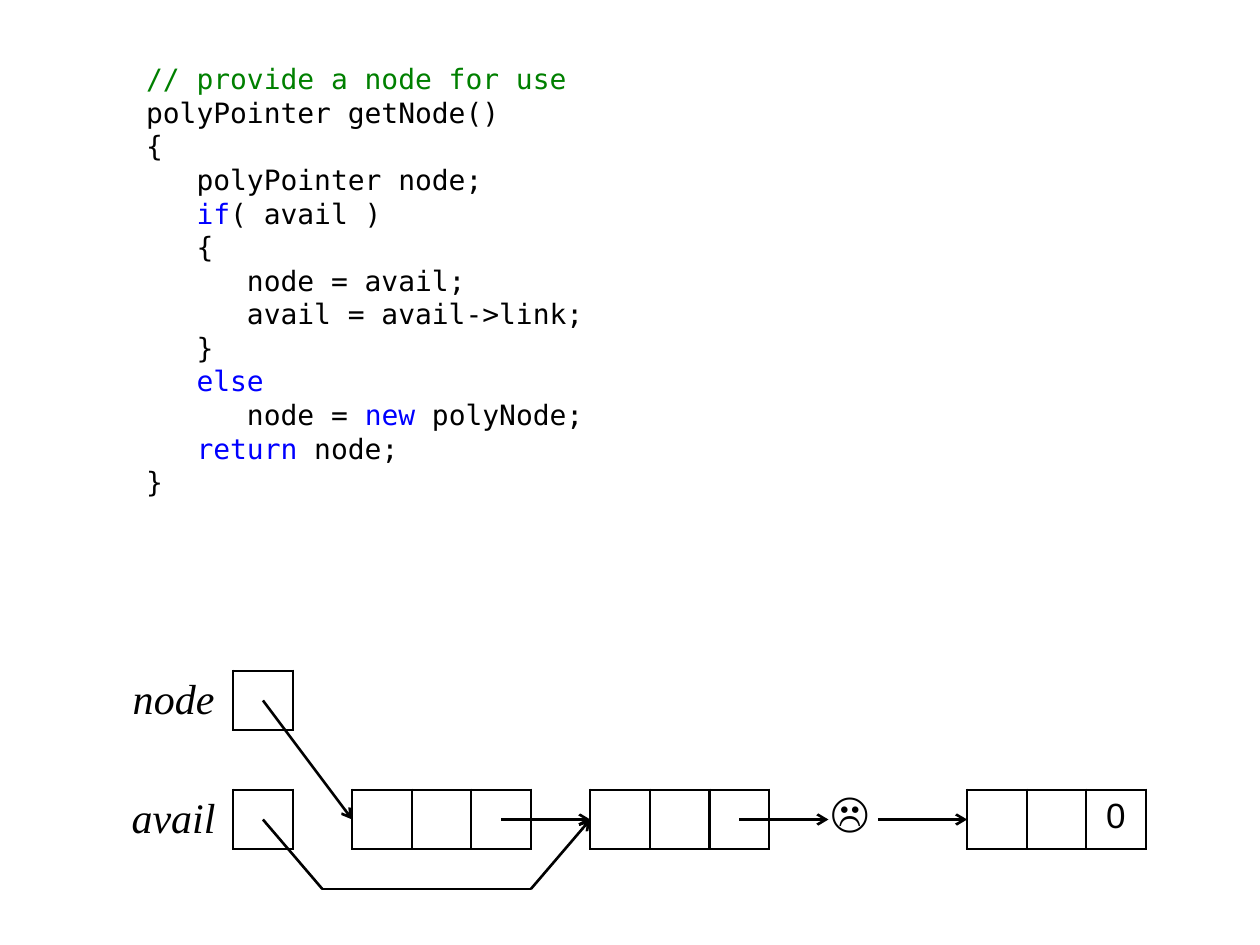
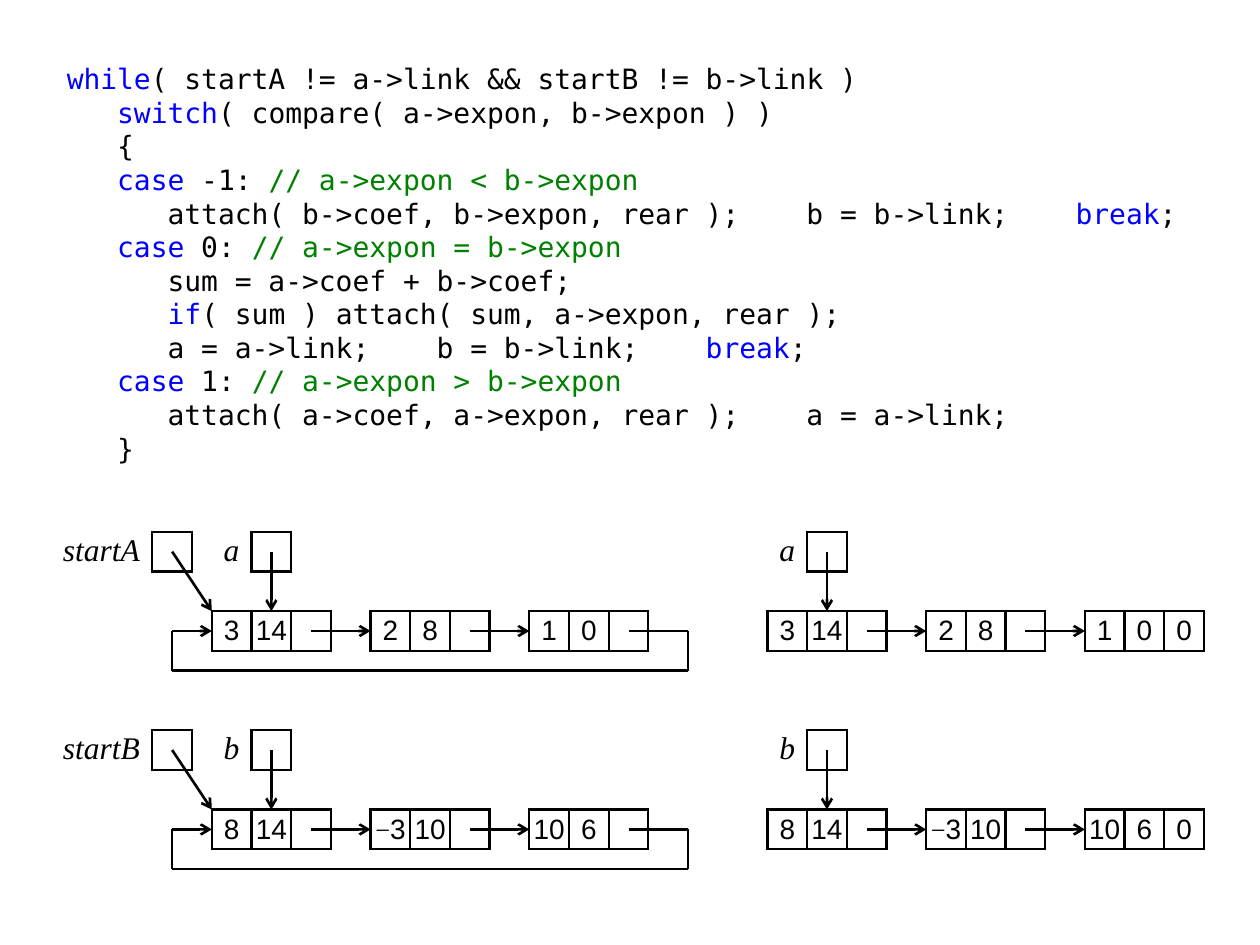
from dataclasses import dataclass
from itertools import pairwise

from lxml import etree
from pptx import Presentation
from pptx.dml.color import RGBColor
from pptx.enum.shapes import MSO_CONNECTOR
from pptx.enum.text import MSO_ANCHOR, MSO_AUTO_SIZE, PP_ALIGN
from pptx.oxml.ns import qn
from pptx.util import Inches, Mm, Pt

STRAIGHT = MSO_CONNECTOR.STRAIGHT
MIDDLE, TOP = MSO_ANCHOR.MIDDLE, MSO_ANCHOR.TOP
LEFT, CENTER, RIGHT = PP_ALIGN.LEFT, PP_ALIGN.CENTER, PP_ALIGN.RIGHT
FIXED_SIZE = MSO_AUTO_SIZE.NONE

BLACK, BLUE, GREEN = "000000", "0000FF", "008000"
CODE_FONT, LABEL_FONT, CELL_FONT = "DejaVu Sans Mono", "Times New Roman", "Arial"
LINE_WIDTH = Pt(1.5)
NO_STYLE_TABLE = "{2D5ABB26-0587-4C30-8999-92F81FD0307C}"
GAP = None  # a table cell without top and bottom borders

# Code: backquotes mark keywords, // starts a comment
GET_NODE = """// provide a node for use
polyPointer getNode()
{
   polyPointer node;
   `if`( avail )
   {
      node = avail;
      avail = avail->link;
   }
   `else`
      node = `new` polyNode;
   `return` node;
}"""

ADD_LOOP = """`while`( startA != a->link && startB != b->link )
   `switch`( compare( a->expon, b->expon ) )
   {
   `case` -1: // a->expon < b->expon
      attach( b->coef, b->expon, rear );    b = b->link;    `break`;
   `case` 0: // a->expon = b->expon
      sum = a->coef + b->coef;
      `if`( sum ) attach( sum, a->expon, rear );
      a = a->link;    b = b->link;    `break`;
   `case` 1: // a->expon > b->expon
      attach( a->coef, a->expon, rear );    a = a->link;
   }"""


@dataclass(frozen=True)
class Grid:
    """Square cells in millimetres; column 0, row 0 starts at left, top."""
    left: float
    top: float
    cell: float

    def x(self, column: float) -> int:
        return Mm(self.left + column * self.cell)

    def y(self, row: float) -> int:
        return Mm(self.top + row * self.cell)

    def size(self, cells: float) -> int:
        return Mm(cells * self.cell)

    def moved(self, columns: float, rows: float) -> "Grid":
        return Grid(self.left + columns * self.cell,
                    self.top + rows * self.cell, self.cell)


@dataclass(frozen=True)
class Label:
    text: str
    column: float
    row: float
    width: float
    size: int
    align: PP_ALIGN = CENTER


@dataclass(frozen=True)
class Polynomial:
    name: str
    row: float
    terms: tuple


POLYNOMIALS = (
    Polynomial("a", 0, (("3", "14"), ("2", "8"), ("1", "0"))),
    Polynomial("b", 5, (("8", "14"), ("−3", "10"), ("10", "6"))),
)


def color(value: str) -> RGBColor:
    return RGBColor.from_string(value)


def apply(target, **values) -> None:
    for name, value in values.items():
        setattr(target, name, value)


def add_span(para, text: str, font: str, size: float, fill: str = BLACK,
             italic: bool = False) -> None:
    span = para.add_run()
    span.text = text
    apply(span.font, name=font, size=Pt(size), italic=italic)
    span.font.color.rgb = color(fill)


# Code in the body placeholder
def add_code_page(deck, code: str, left: float, width: float, height: float):
    page = deck.slides.add_slide(deck.slide_layouts[1])
    title = page.shapes.title.element
    title.getparent().remove(title)
    body = page.placeholders[1]
    apply(body, left=Inches(left), top=Inches(0.44),
          width=Inches(width), height=Inches(height))
    frame = body.text_frame
    apply(frame, auto_size=FIXED_SIZE, word_wrap=True, vertical_anchor=TOP)
    for index, line in enumerate(code.split("\n")):
        para = frame.add_paragraph() if index else frame.paragraphs[0]
        properties = para._p.get_or_add_pPr()
        apply_bullet = {"marL": "0", "indent": "0"}
        for name, value in apply_bullet.items():
            properties.set(name, value)
        etree.SubElement(properties, qn("a:buNone"))
        apply(para, alignment=LEFT, space_before=Pt(0), space_after=Pt(0),
              line_spacing=Pt(19.2))
        statement, mark, comment = line.partition("//")
        spans = [(text, BLUE if number % 2 else BLACK)
                 for number, text in enumerate(statement.split("`"))]
        for text, fill in spans + [(mark + comment, GREEN)]:
            if text:
                add_span(para, text, CODE_FONT, 16, fill)
    return page


# Lines and labels
def add_path(page, grid: Grid, *points: tuple, arrow: bool = True) -> None:
    """Joins the points by straight lines; the last one carries the arrowhead."""
    legs = list(pairwise(points))
    for number, ((x1, y1), (x2, y2)) in enumerate(legs, 1):
        line = page.shapes.add_connector(STRAIGHT, grid.x(x1), grid.y(y1),
                                         grid.x(x2), grid.y(y2))
        line.line.color.rgb = color(BLACK)
        line.line.width = LINE_WIDTH
        if arrow and number == len(legs):
            etree.SubElement(line.line._get_or_add_ln(), qn("a:tailEnd"), type="arrow")
        etree.SubElement(line._element.spPr, qn("a:effectLst"))


def add_label(page, grid: Grid, label: Label) -> None:
    box = page.shapes.add_textbox(grid.x(label.column), grid.y(label.row),
                                  grid.size(label.width), grid.size(1))
    frame = box.text_frame
    apply(frame, word_wrap=True, vertical_anchor=MIDDLE, margin_left=0, margin_top=0,
          margin_right=Inches(0.1) if label.align == RIGHT else 0,
          margin_bottom=Inches(0.05))
    para = frame.paragraphs[0]
    para.alignment = label.align
    add_span(para, label.text, LABEL_FONT, label.size, italic=True)


# Nodes: one table row, with gaps between the nodes
def add_border(cell, sides: str) -> None:
    properties = cell._tc.get_or_add_tcPr()
    for side in "LRTB":
        border = etree.SubElement(properties, qn("a:ln" + side), w=str(LINE_WIDTH))
        if side in sides:
            fill = etree.SubElement(border, qn("a:solidFill"))
            etree.SubElement(fill, qn("a:srgbClr"), val=BLACK)
        else:
            etree.SubElement(border, qn("a:noFill"))


def add_cells(page, grid: Grid, column: float, row: float, texts: list, size: int = 16,
              widths: dict | None = None):
    widths = widths or {}
    spans = [widths.get(index, 1) for index in range(len(texts))]
    table = page.shapes.add_table(1, len(texts), grid.x(column), grid.y(row),
                                  grid.size(sum(spans)), grid.size(1)).table
    apply(table, first_row=False, horz_banding=False)
    table._tbl.tblPr.find(qn("a:tableStyleId")).text = NO_STYLE_TABLE
    table.rows[0].height = grid.size(1)
    for index, text in enumerate(texts):
        table.columns[index].width = grid.size(spans[index])
        cell = table.cell(0, index)
        apply(cell, margin_left=0, margin_right=0, margin_top=0, margin_bottom=0,
              vertical_anchor=MIDDLE)
        add_border(cell, "LR" if text is GAP else "LRTB")
        cell.fill.background()
        para = cell.text_frame.paragraphs[0]
        para.alignment = CENTER
        digits = (text or "").lstrip("−")
        if text and text != digits:
            add_span(para, "−", LABEL_FONT, 15)
        if digits:
            add_span(para, digits, CELL_FONT, size)
    return table


# Page 1: taking a node from the available list
def add_get_node_page(deck) -> None:
    page = add_code_page(deck, GET_NODE, 1.06, 5.67, 4.41)
    grid = Grid(left=47, top=159.2, cell=12)
    for name, row in (("avail", 0), ("node", -2)):
        add_label(page, grid, Label(name, -2, row, 2, 24))
        add_cells(page, grid, 0, row, [""])

    node = ["", "", ""]
    nodes = add_cells(page, grid, 2, 0, [*node, GAP, *node, GAP, "", "", "0"],
                      size=20, widths={7: 3.33})
    nodes.cell(0, 10).margin_bottom = Inches(0.05)
    rest = nodes.cell(0, 7)
    apply(rest, margin_left=Inches(0.49), margin_bottom=Inches(0.04),
          vertical_anchor=TOP)
    para = rest.text_frame.paragraphs[0]
    para.alignment = LEFT
    add_span(para, "☹", CELL_FONT, 24)

    add_path(page, grid, (0.5, -1.5), (2, 0.5))
    add_path(page, grid, (0.5, 0.5), (1.5, 1.67), (5, 1.67), (6, 0.5))
    for start, end in ((4.5, 6), (8.5, 10), (10.83, 12.33)):
        add_path(page, grid, (start, 0.5), (end, 0.5))


# Page 2: adding polynomials, as circular lists and as chains
def add_polynomial(page, grid: Grid, polynomial: Polynomial, circular: bool) -> None:
    first, second, last = polynomial.terms
    link = "" if circular else "0"
    add_cells(page, grid, 0, 0, [*first, "", GAP, *second, "", GAP, *last, link])
    add_label(page, grid, Label(polynomial.name, 0, -2, 1, 18))
    add_cells(page, grid, 1, -2, [""])
    add_path(page, grid, (1.5, -1.5), (1.5, 0))
    for column in (2.5, 6.5):
        add_path(page, grid, (column, 0.5), (column + 1.5, 0.5))
    if circular:
        start_name = "start" + polynomial.name.upper()
        add_label(page, grid, Label(start_name, -4, -2, 2.5, 18, RIGHT))
        add_cells(page, grid, -1.5, -2, [""])
        add_path(page, grid, (-1, -1.5), (0, 0))
        add_path(page, grid, (10.5, 0.5), (12, 0.5), (12, 1.5),
                 (-1, 1.5), (-1, 0.5), (0, 0.5))


def add_polynomial_page(deck) -> None:
    page = add_code_page(deck, ADD_LOOP, 0.43, 9.13, 3.31)
    grid = Grid(left=42.7, top=123.2, cell=8)
    for column, circular in ((0, True), (14, False)):
        for polynomial in POLYNOMIALS:
            add_polynomial(page, grid.moved(column, polynomial.row), polynomial, circular)


def main() -> None:
    deck = Presentation()
    apply(deck, slide_width=Inches(10), slide_height=Inches(7.5))
    add_get_node_page(deck)
    add_polynomial_page(deck)
    deck.save("out.pptx")


if __name__ == "__main__":
    main()
